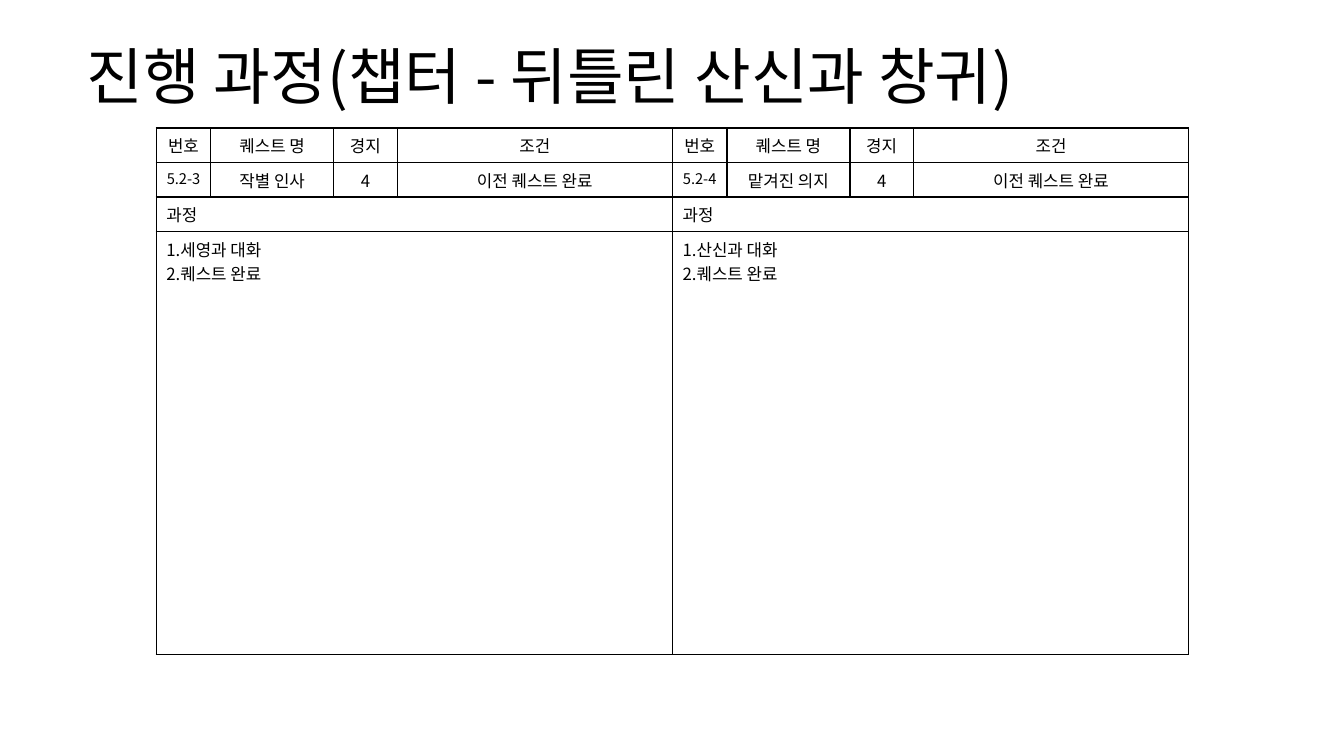
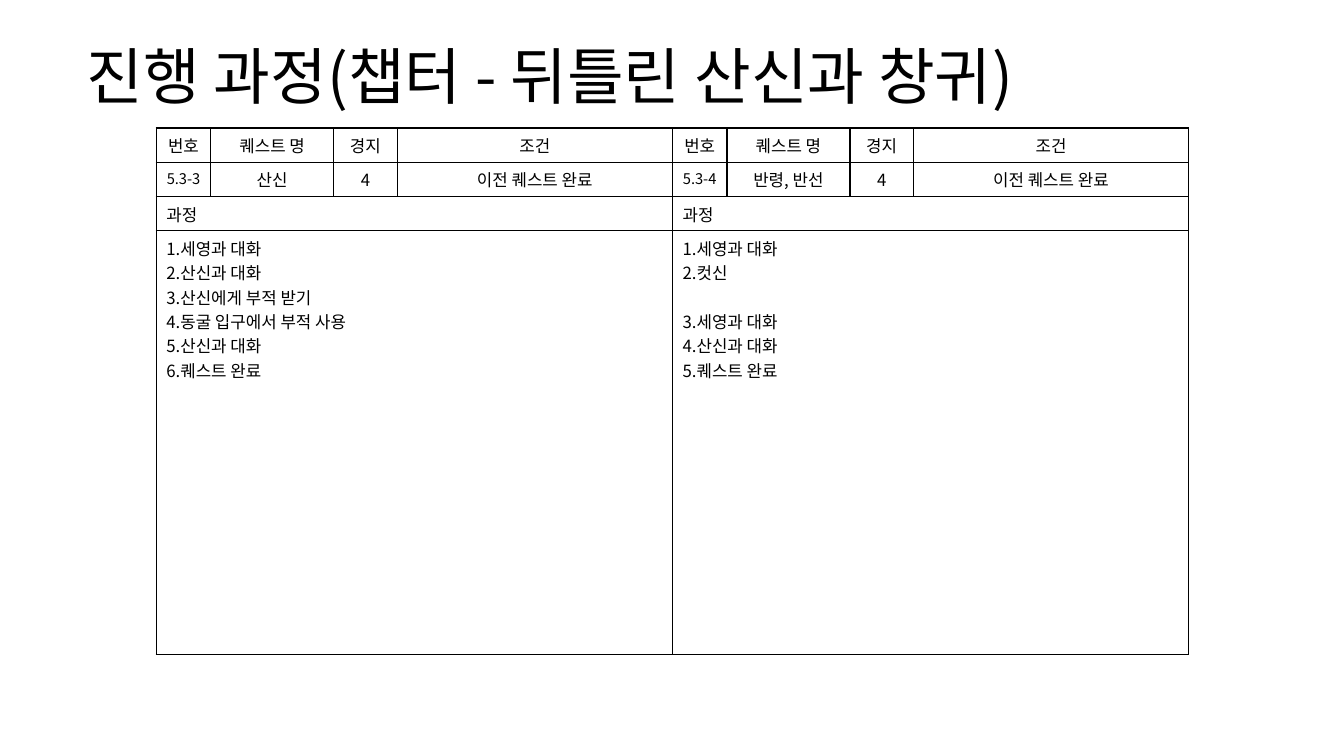
"""Build the quest progress slides, with two quest tables on each."""
from lxml.etree import SubElement
from pptx import Presentation
from pptx.dml.color import RGBColor as Rgb
from pptx.enum.text import MSO_ANCHOR as Anchor, PP_ALIGN as Align
from pptx.oxml import parse_xml
from pptx.oxml.ns import nsdecls
from pptx.util import Inches, Pt

COLORS = {"text": "000000", "line": "000000", "back": "FFFFFF"}
FONT = "Noto Sans CJK KR"
TITLE = "진행 과정(챕터 - 뒤틀린 산신과 창귀)"
HEADS = ["번호", "퀘스트 명", "경지", "조건"]
COLS = [0.54, 1.22, 0.63, 2.73]
ROWS = [0.34, 0.34, 0.34, 4.2]
LEFT, TOP = 1.55, 1.27
CENTER = {"alignment": Align.CENTER}
PLAIN = {"alignment": Align.LEFT}
GAP = {"alignment": Align.LEFT, "space_before": Pt(17.5)}
SLIDES = [
    [
        ("5.2-3", "작별 인사", ["세영과 대화", "퀘스트 완료"], None),
        ("5.2-4", "맡겨진 의지", ["산신과 대화", "퀘스트 완료"], None),
    ],
    [
        ("5.3-3", "산신", ["세영과 대화", "산신과 대화", "산신에게 부적 받기",
                         "동굴 입구에서 부적 사용", "산신과 대화", "퀘스트 완료"], None),
        ("5.3-4", "반령, 반선", ["세영과 대화", "컷신", "세영과 대화",
                             "산신과 대화", "퀘스트 완료"], 3),
    ],
]


class Deck:
    """Hold the style and the current slide."""

    def __init__(self):
        self.prs = Presentation()
        self.prs.slide_width, self.prs.slide_height = Inches(13.33), Inches(7.5)
        self.slide = None

    def add(self):
        self.slide = self.prs.slides.add_slide(self.prs.slide_layouts[6])
        fill = self.slide.background.fill
        fill.solid()
        fill.fore_color.rgb = Rgb.from_string(COLORS["back"])

    def label(self, para, text, size, form):
        for key, value in form.items():
            setattr(para, key, value)
        run = para.add_run()
        run.text = text
        for key, value in {"name": FONT, "size": Pt(size)}.items():
            setattr(run.font, key, value)
        run.font.color.rgb = Rgb.from_string(COLORS["text"])
        props = run._r.get_or_add_rPr()
        space = nsdecls("a").split('"')[1]
        SubElement(props, f"{{{space}}}ea", typeface=FONT)

    def title(self, text):
        box = self.slide.shapes.add_textbox(
            Inches(0.76), Inches(0.32), Inches(11.81), Inches(0.94))
        frame = box.text_frame
        for key, value in {"word_wrap": True, "vertical_anchor": Anchor.MIDDLE}.items():
            setattr(frame, key, value)
        self.label(frame.paragraphs[0], text, 44, {"line_spacing": 0.9})

    def frame(self, cell):
        cell.fill.background()
        props = cell._tc.get_or_add_tcPr()
        for spot, side in enumerate("LRTB"):
            props.insert(spot, parse_xml(
                f'<a:ln{side} {nsdecls("a")} w="{int(Pt(1))}"><a:solidFill>'
                f'<a:srgbClr val="{COLORS["line"]}"/></a:solidFill></a:ln{side}>'))

    def quest(self, left, code, name, steps, gap):
        table = self.slide.shapes.add_table(
            len(ROWS), len(COLS), Inches(left), Inches(TOP),
            Inches(sum(COLS)), Inches(sum(ROWS))).table
        for key in ("first_row", "horz_banding"):
            setattr(table, key, False)
        for col, width in zip(table.columns, COLS):
            col.width = Inches(width)
        for row, height in zip(table.rows, ROWS):
            row.height = Inches(height)
        for cell in table.iter_cells():
            self.frame(cell)
        for y, texts in enumerate([HEADS, [code, name, "4", "이전 퀘스트 완료"]]):
            for x, text in enumerate(texts):
                size = 10.5 if text == code else 12
                self.label(table.cell(y, x).text_frame.paragraphs[0], text, size, CENTER)
        for y in (2, 3):
            table.cell(y, 0).merge(table.cell(y, len(COLS) - 1))
        self.label(table.cell(2, 0).text_frame.paragraphs[0], "과정", 12, PLAIN)
        body = table.cell(3, 0).text_frame
        for num, step in enumerate(steps, 1):
            para = body.paragraphs[0] if num == 1 else body.add_paragraph()
            self.label(para, f"{num}.{step}", 12, GAP if num == gap else PLAIN)


def main():
    deck = Deck()
    for quests in SLIDES:
        deck.add()
        for index, quest in enumerate(quests):
            deck.quest(LEFT + index * sum(COLS), *quest)
        deck.title(TITLE)
    deck.prs.save("out.pptx")


if __name__ == "__main__":
    main()
